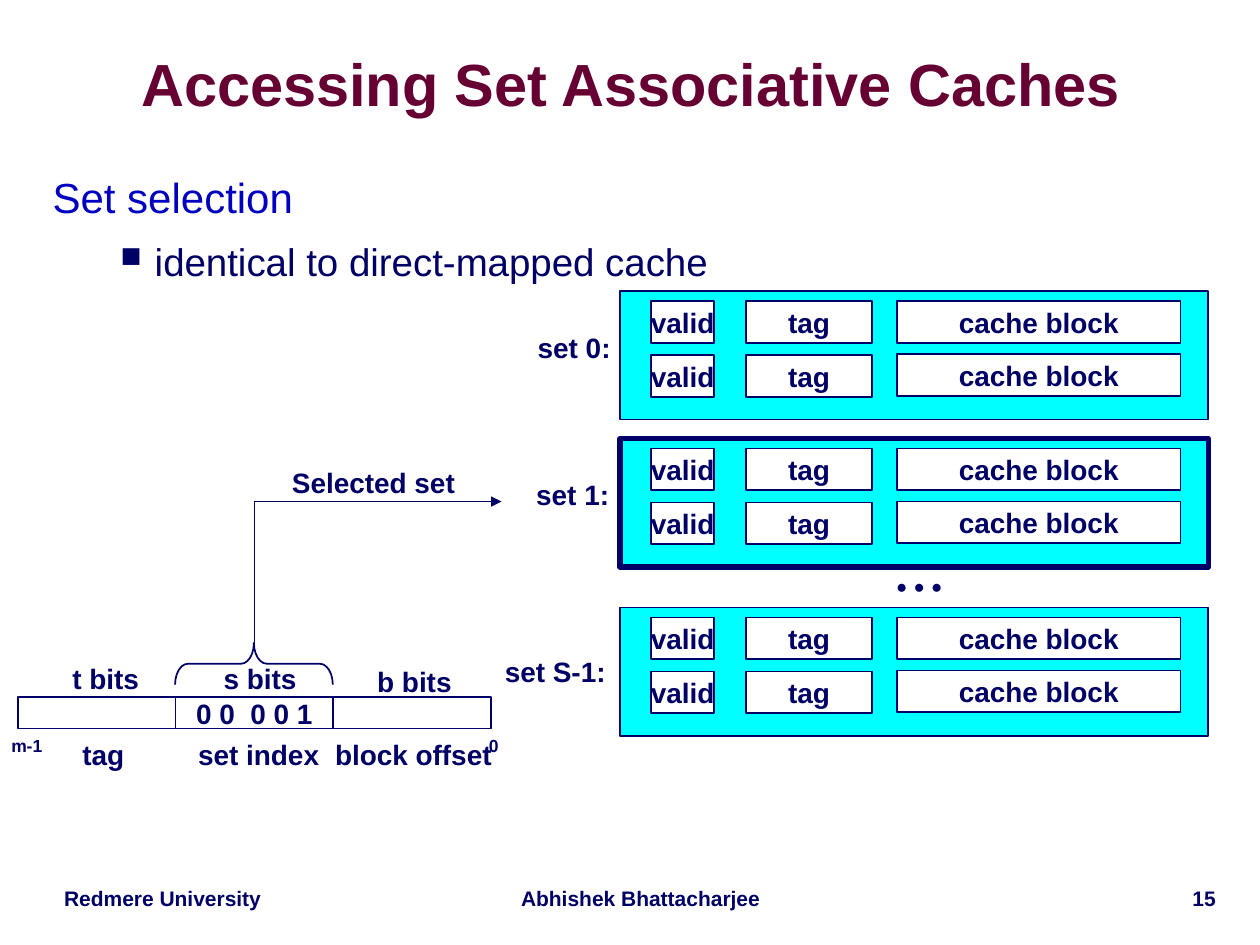
from dataclasses import dataclass

from lxml import etree
from pptx import Presentation
from pptx import util as u
from pptx.dml.color import RGBColor
from pptx.enum import shapes, text
from pptx.oxml import ns

HUES = {"ink": "000066", "head": "660033", "lead": "0000C0",
        "set": "00FFFF", "cell": "FFFFFF"}
MID = text.PP_ALIGN.CENTER
LEFT = text.PP_ALIGN.LEFT
RIGHT = text.PP_ALIGN.RIGHT


@dataclass
class Box:
    x: float
    y: float
    w: float
    h: float = 0.94

    def emu(self) -> list:
        return [u.Cm(n) for n in (self.x, self.y, self.w, self.h)]


@dataclass
class Style:
    size: float = 16
    hue: str = "ink"
    bold: bool = True
    align: int = MID
    space: float = 1.0
    wrap: bool = False


@dataclass
class Note:
    words: str
    box: Box
    style: Style


@dataclass
class Field:
    name: str
    x: float
    w: float
    step: float


@dataclass
class CacheSet:
    name: str
    top: float
    edge: float
    label: Box


BODY = Style()
TINY = Style(size=10)
FOOT = Style(size=12, space=0.9, wrap=True)
FOOT_END = Style(size=12, space=0.9, wrap=True, align=RIGHT)

FIELDS = [
    Field("valid", 13.13, 1.27, 1.09),
    Field("tag", 15.04, 2.54, 1.09),
    Field("cache block", 18.08, 5.72, 1.07),
]
SETS = [
    CacheSet("set 0:", 5.87, 1, Box(10.57, 6.53, 2.01)),
    CacheSet("set 1:", 8.84, 3, Box(10.54, 9.5, 2.01)),
    CacheSet("set S-1:", 12.25, 1, Box(9.91, 13.06, 2.57)),
]
NOTES = [
    Note("Redmere University", Box(0.84, 17.78, 4.88, 0.71), FOOT),
    Note("Abhishek Bhattacharjee", Box(10.16, 17.78, 5.51, 0.71), FOOT),
    Note("15", Box(20.75, 17.78, 4.01, 0.71), FOOT_END),
    Note("•\u00a0•\u00a0•".replace("\u00a0", " "), Box(17.58, 11.4, 1.91, 0.84), BODY),
    Note("t bits", Box(1.19, 13.21, 1.88), BODY),
    Note("s bits", Box(4.24, 13.21, 2.01), BODY),
    Note("b bits", Box(7.34, 13.26, 2.03), BODY),
    Note("tag", Box(1.4, 14.73, 1.37), BODY),
    Note("set index", Box(3.73, 14.73, 2.97), BODY),
    Note("block offset", Box(6.48, 14.73, 3.71), BODY),
    Note("m-1", Box(-0.03, 14.68, 1.14, 0.69), TINY),
    Note("0", Box(9.6, 14.68, 0.71, 0.69), TINY),
    Note("Selected set", Box(5.61, 9.25, 3.84), BODY),
]


def rgb(hue: str) -> RGBColor:
    return RGBColor.from_string(HUES[hue])


def apply(item, values: dict) -> None:
    for key, value in values.items():
        setattr(item, key, value)


def write(para, words: str, style: Style) -> None:
    apply(para, {"alignment": style.align, "line_spacing": style.space})
    run = para.add_run()
    run.text = words
    apply(run.font, {"name": "Arial", "size": u.Pt(style.size), "bold": style.bold})
    run.font.color.rgb = rgb(style.hue)


def note(slide, words: str, box: Box, style: Style = BODY):
    frame = slide.shapes.add_textbox(*box.emu()).text_frame
    apply(frame, {"word_wrap": style.wrap, "vertical_anchor": text.MSO_ANCHOR.MIDDLE})
    write(frame.paragraphs[0], words, style)
    return frame


def shape(slide, kind, box: Box, fill: str = "", edge: float = 1, words: str = ""):
    item = slide.shapes.add_shape(kind, *box.emu())
    item.shadow.inherit = False
    if fill:
        item.fill.solid()
        item.fill.fore_color.rgb = rgb(fill)
    else:
        item.fill.background()
    item.line.color.rgb = rgb("ink")
    item.line.width = u.Pt(edge)
    if words:
        frame = item.text_frame
        apply(frame, {"word_wrap": False, "vertical_anchor": text.MSO_ANCHOR.MIDDLE})
        write(frame.paragraphs[0], words, BODY)
    return item


def line(slide, start: tuple, end: tuple, arrow: bool = False) -> None:
    ends = [u.Cm(n) for n in start + end]
    item = slide.shapes.add_connector(shapes.MSO_CONNECTOR.STRAIGHT, *ends)
    item.line.color.rgb = rgb("ink")
    item.line.width = u.Pt(1)
    if arrow:
        etree.SubElement(item.line._get_or_add_ln(), ns.qn("a:tailEnd"), type="triangle")
    etree.SubElement(item._element.spPr, ns.qn("a:effectLst"))


def bullet(para, mark: str, left: float, hang: float) -> None:
    props = para._p.get_or_add_pPr()
    props.set("marL", str(u.Cm(left)))
    props.set("indent", str(-u.Cm(hang)))
    etree.SubElement(props, ns.qn("a:buSzPct"), val="75000")
    etree.SubElement(props, ns.qn("a:buChar"), char=mark)


def heads(slide) -> None:
    title = note(slide, "Accessing Set Associative Caches", Box(0.79, 0.69, 23.85, 2.16),
                 Style(34, "head", space=0.87, wrap=True))
    apply(title, dict.fromkeys(
        ("margin_left", "margin_right", "margin_top", "margin_bottom"), 0))
    body = note(slide, "Set selection", Box(0.81, 3.4, 23.95, 13.97),
                Style(24, "lead", False, LEFT, 0.95, True))
    body.vertical_anchor = text.MSO_ANCHOR.TOP
    para = body.add_paragraph()
    write(para, "identical to direct-mapped cache", Style(22, bold=False, align=LEFT))
    para.space_before = u.Pt(8.5)
    bullet(para, "■", 2.06, 0.69)


def cache(slide, group: CacheSet) -> None:
    rect = shapes.MSO_SHAPE.RECTANGLE
    shape(slide, rect, Box(12.5, group.top, 11.86, 2.59), "set", group.edge)
    for field in FIELDS:
        for row in range(2):
            box = Box(field.x, group.top + 0.2 + row * field.step, field.w, 0.84)
            shape(slide, rect, box, "cell", words=field.name)
    note(slide, group.name, group.label)


def address(slide) -> None:
    """Draw the address bits, with the index bits leading to the selected set."""
    wide = 3.18
    for col, bits in enumerate(("", "0 0  0 0 1", "")):
        shape(slide, shapes.MSO_SHAPE.RECTANGLE,
              Box(0.36 + col * wide, 14.05, wide, 0.64), words=bits)
    brace = shape(slide, shapes.MSO_SHAPE.RIGHT_BRACE, Box(4.7, 11.79, 0.84, wide))
    brace.rotation = 270
    brace.adjustments[0] = 0.31
    turn = (5.13, 10.11)
    line(slide, (5.13, 13.06), turn)
    line(slide, turn, (10.11, 10.11), arrow=True)


def main() -> None:
    deck = Presentation()
    apply(deck, {"slide_width": u.Cm(25.4), "slide_height": u.Cm(19.05)})
    slide = deck.slides.add_slide(deck.slide_layouts[6])
    heads(slide)
    for group in SETS:
        cache(slide, group)
    address(slide)
    for item in NOTES:
        note(slide, item.words, item.box, item.style)
    deck.save("out.pptx")


if __name__ == "__main__":
    main()
